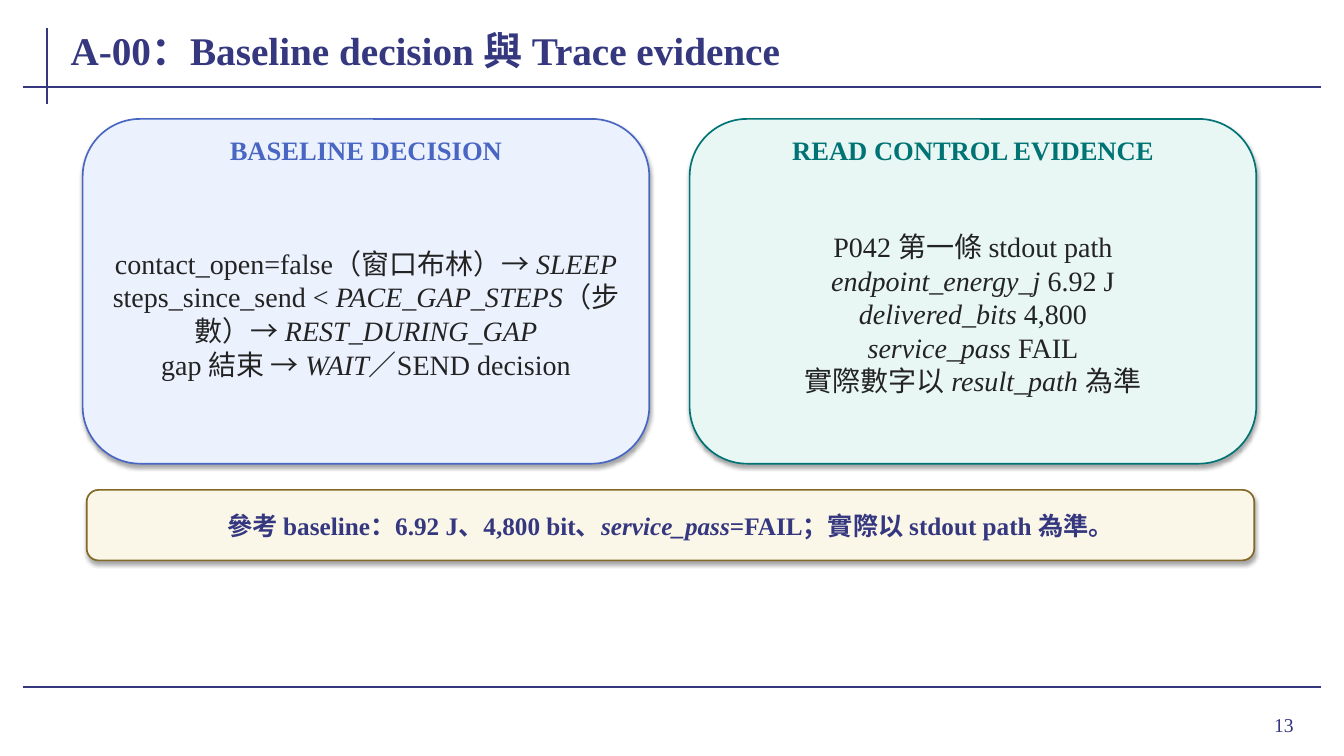
from lxml.etree import SubElement
from pptx import Presentation
from pptx.dml.color import RGBColor
from pptx.enum.shapes import MSO_CONNECTOR, MSO_SHAPE
from pptx.enum.text import MSO_ANCHOR, PP_ALIGN
from pptx.oxml import parse_xml
from pptx.oxml.ns import nsdecls, qn
from pptx.util import Inches, Pt

THEME = {
    "navy": RGBColor.from_string("35377F"),
    "ink": RGBColor.from_string("232323"),
    "blue": RGBColor.from_string("4967C2"),
    "blue_tint": RGBColor.from_string("ECF1FE"),
    "teal": RGBColor.from_string("007374"),
    "teal_tint": RGBColor.from_string("E8F7F4"),
    "gold": RGBColor.from_string("846826"),
    "gold_tint": RGBColor.from_string("FAF7E8"),
    "font": "Times New Roman",
    "title": Pt(28),
    "body": Pt(20),
    "heading": Pt(19),
    "banner": Pt(18),
    "number": Pt(14),
    "rule": Pt(1.5),
    "outline": Pt(1.2),
}
SHADOW = (
    f'<a:effectLst {nsdecls("a")}>'
    f'<a:outerShdw blurRad="{Pt(3.1)}" dist="{Pt(1.8)}" dir="5400000" rotWithShape="0">'
    '<a:srgbClr val="000000"><a:alpha val="35000"/></a:srgbClr>'
    '</a:outerShdw></a:effectLst>'
)

presentation = Presentation()
presentation.slide_width = Inches(13.33)
presentation.slide_height = Inches(7.5)
slide = presentation.slides.add_slide(presentation.slide_layouts[6])
column = presentation.slide_width / 100
row = presentation.slide_height / 100


def add_panel(left, top, width, height, fill, outline):
    shape = slide.shapes.add_shape(
        MSO_SHAPE.ROUNDED_RECTANGLE,
        int(left * column), int(top * row), int(width * column), int(height * row))
    shape.fill.solid()
    shape.fill.fore_color.rgb = THEME[fill]
    shape.line.color.rgb = THEME[outline]
    shape.line.width = THEME["outline"]
    shape._element.spPr.append(parse_xml(SHADOW))


def add_text(left, top, width, height, lines, size, color,
             bold=False, align=PP_ALIGN.CENTER, margins=(0.02, 0)):
    shape = slide.shapes.add_textbox(
        int(left * column), int(top * row), int(width * column), int(height * row))
    text_frame = shape.text_frame
    text_frame.word_wrap = True
    text_frame.vertical_anchor = MSO_ANCHOR.MIDDLE
    text_frame.margin_left = text_frame.margin_right = Inches(margins[0])
    text_frame.margin_top = text_frame.margin_bottom = Inches(margins[1])
    text_frame.text = "\n" * (len(lines) - 1)
    for paragraph, line in zip(text_frame.paragraphs, lines):
        paragraph.alignment = align
        for index, part in enumerate(line.split("*")):
            if part:
                run = paragraph.add_run()
                run.text = part
                run.font.name = THEME["font"]
                run.font.size = THEME[size]
                run.font.color.rgb = THEME[color]
                run.font.bold = bold
                run.font.italic = index % 2 == 1


rules = [
    (3.53, 3.73, 3.53, 13.73),
    (1.73, 11.47, 98.27, 11.47),
    (1.73, 90.93, 98.27, 90.93),
]
for start_x, start_y, end_x, end_y in rules:
    connector = slide.shapes.add_connector(
        MSO_CONNECTOR.STRAIGHT,
        int(start_x * column), int(start_y * row), int(end_x * column), int(end_y * row))
    connector.line.color.rgb = THEME["navy"]
    connector.line.width = THEME["rule"]
    SubElement(connector._element.spPr, qn("a:effectLst"))

add_text(89.72, 92.4, 7.28, 6.93, ["13"], "number", "navy",
         align=PP_ALIGN.RIGHT, margins=(0.1, 0.05))
add_text(5.1, 2.4, 89.65, 8.27, ["A-00：Baseline decision 與 Trace evidence"],
         "title", "navy", bold=True, align=PP_ALIGN.LEFT)

cards = [
    ("BASELINE DECISION", "blue", [
        "contact_open=false（窗口布林）→ *SLEEP*",
        "steps_since_send < *PACE_GAP_STEPS*（步數）→ *REST_DURING_GAP*",
        "gap 結束 → *WAIT*／SEND decision",
    ]),
    ("READ CONTROL EVIDENCE", "teal", [
        "P042 第一條 stdout path",
        "*endpoint_energy_j* 6.92 J",
        "*delivered_bits* 4,800",
        "*service_pass* FAIL",
        "實際數字以 *result_path* 為準",
    ]),
]
card_width, card_gap = 42.16, 3
for index, (heading, color, lines) in enumerate(cards):
    left = 6.15 + index * (card_width + card_gap)
    add_panel(left, 15.73, card_width, 45.6, color + "_tint", color)
    add_text(left + 1.35, 17.87, card_width - 2.7, 4, [heading], "heading", color,
             bold=True, margins=(0.01, 0))
    add_text(left + 1.5, 23.47, card_width - 3, 36, lines, "body", "ink",
             margins=(0.08, 0.04))

add_panel(6.45, 64.8, 86.87, 9.33, "gold_tint", "gold")
add_text(7.8, 65.73, 84.17, 7.47,
         ["參考 baseline：6.92 J、4,800 bit、*service_pass*=FAIL；實際以 stdout path 為準。"],
         "banner", "navy", bold=True)

presentation.save("out.pptx")
